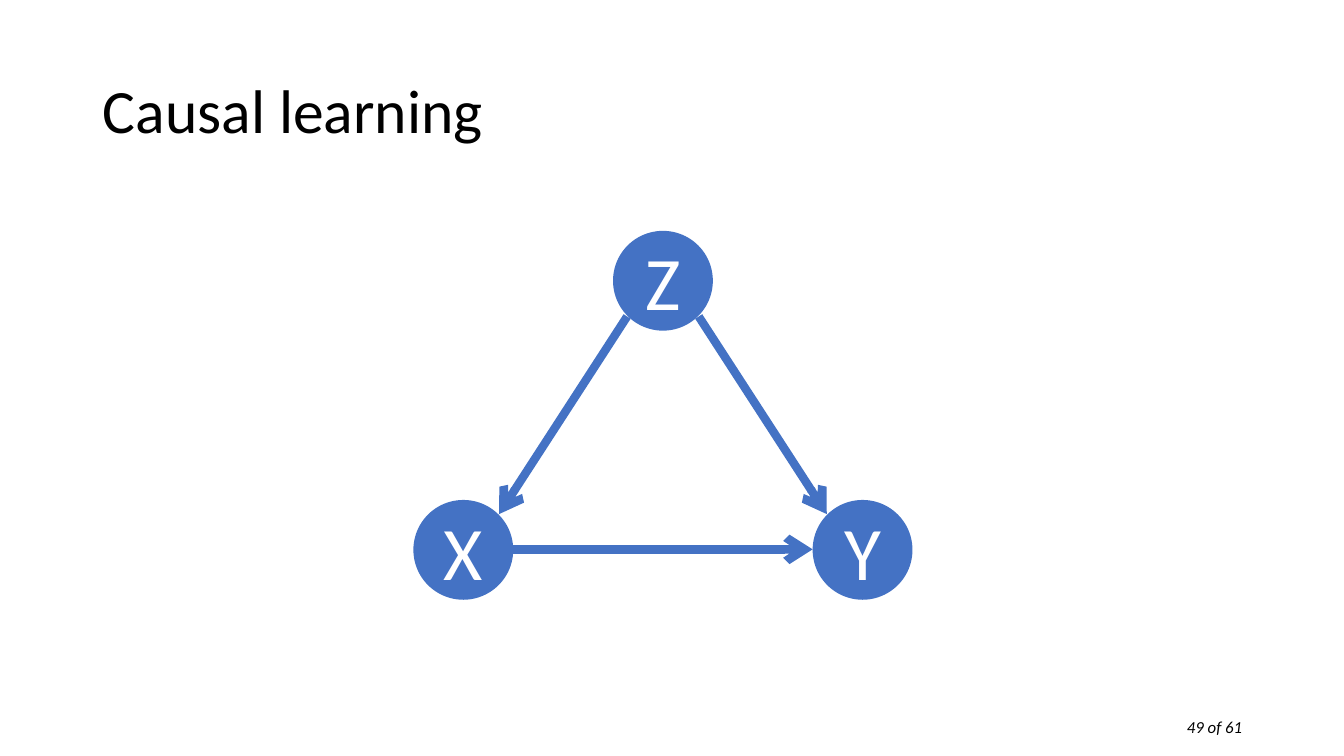
"""Build a slide showing a causal graph of three variables."""
from lxml import etree
from pptx import Presentation
from pptx.dml.color import RGBColor
from pptx.enum.shapes import MSO_CONNECTOR, MSO_SHAPE
from pptx.enum.text import MSO_ANCHOR, MSO_AUTO_SIZE, PP_ALIGN
from pptx.oxml.ns import qn
from pptx.util import Pt

PX = 9144
BLUE = RGBColor(0x44, 0x72, 0xC4)
WHITE = RGBColor(0xFF, 0xFF, 0xFF)
BLACK = RGBColor(0x00, 0x00, 0x00)
FONT = "Calibri"
OVAL = MSO_SHAPE.OVAL
LINE = MSO_CONNECTOR.STRAIGHT
LEFT, MID, RIGHT = PP_ALIGN.LEFT, PP_ALIGN.CENTER, PP_ALIGN.RIGHT
MIDDLE = MSO_ANCHOR.MIDDLE
NONE, GROW = MSO_AUTO_SIZE.NONE, MSO_AUTO_SIZE.SHAPE_TO_FIT_TEXT

SIZE = 99
HALF = SIZE // 2
INSET = 14
NODES = {"Z": (608, 229), "X": (410, 496), "Y": (806, 496)}
SITES = {
    "left": (0, HALF),
    "right": (SIZE, HALF),
    "low left": (INSET, SIZE - INSET),
    "low right": (SIZE - INSET, SIZE - INSET),
    "top left": (INSET, INSET),
    "top right": (SIZE - INSET, INSET),
}
EDGES = [
    ("Z", "low left", "X", "top right"),
    ("Z", "low right", "Y", "top left"),
    ("X", "right", "Y", "left"),
]


def emu(*nums):
    """Turn px lengths into EMU."""
    return [num * PX for num in nums]


def write(frame, text, size, color, align, italic=False):
    """Put one formatted run into the first paragraph of a frame."""
    para = frame.paragraphs[0]
    para.alignment = align
    run = para.add_run()
    run.text = text
    font = run.font
    font.name, font.size, font.italic = FONT, Pt(size), italic
    font.color.rgb = color
    return para


def add_title(slide, text):
    """Place and fill the title."""
    title = slide.shapes.title
    title.left, title.top, title.width, title.height = emu(92, 40, 1150, 145)
    frame = title.text_frame
    frame.auto_size = NONE
    frame.vertical_anchor = MIDDLE
    write(frame, text, 44, BLACK, LEFT).line_spacing = 0.9


def add_count(slide, text):
    """Add the page count at the lower right."""
    box = slide.shapes.add_textbox(*emu(942, 706, 300, 30))
    frame = box.text_frame
    frame.word_wrap = True
    frame.auto_size = GROW
    write(frame, text, 12, BLACK, RIGHT, italic=True)


def add_node(slide, name):
    """Add a round node with its letter."""
    node = slide.shapes.add_shape(OVAL, *emu(*NODES[name], SIZE, SIZE))
    node.shadow.inherit = False
    node.fill.solid()
    node.fill.fore_color.rgb = BLUE
    node.line.fill.background()
    node.text_frame.vertical_anchor = MIDDLE
    write(node.text_frame, name, 54, WHITE, MID)


def find_site(name, site):
    """Give the point of a site on a node's rim."""
    return [a + b for a, b in zip(NODES[name], SITES[site])]


def add_edge(slide, tail, start, head, end):
    """Add an arrow between the rims of two nodes."""
    ends = find_site(tail, start) + find_site(head, end)
    edge = slide.shapes.add_connector(LINE, *emu(*ends))
    edge.line.color.rgb = BLUE
    edge.line.width = Pt(6)
    etree.SubElement(edge.line._get_or_add_ln(), qn("a:tailEnd"), type="arrow")
    etree.SubElement(edge._element.spPr, qn("a:effectLst"))


def main():
    """Build and save the slide."""
    deck = Presentation()
    deck.slide_width, deck.slide_height = emu(1333, 750)
    slide = deck.slides.add_slide(deck.slide_layouts[5])
    add_count(slide, "49 of 61")
    add_title(slide, "Causal learning")
    for name in NODES:
        add_node(slide, name)
    for edge in EDGES:
        add_edge(slide, *edge)
    deck.save("out.pptx")


if __name__ == "__main__":
    main()
